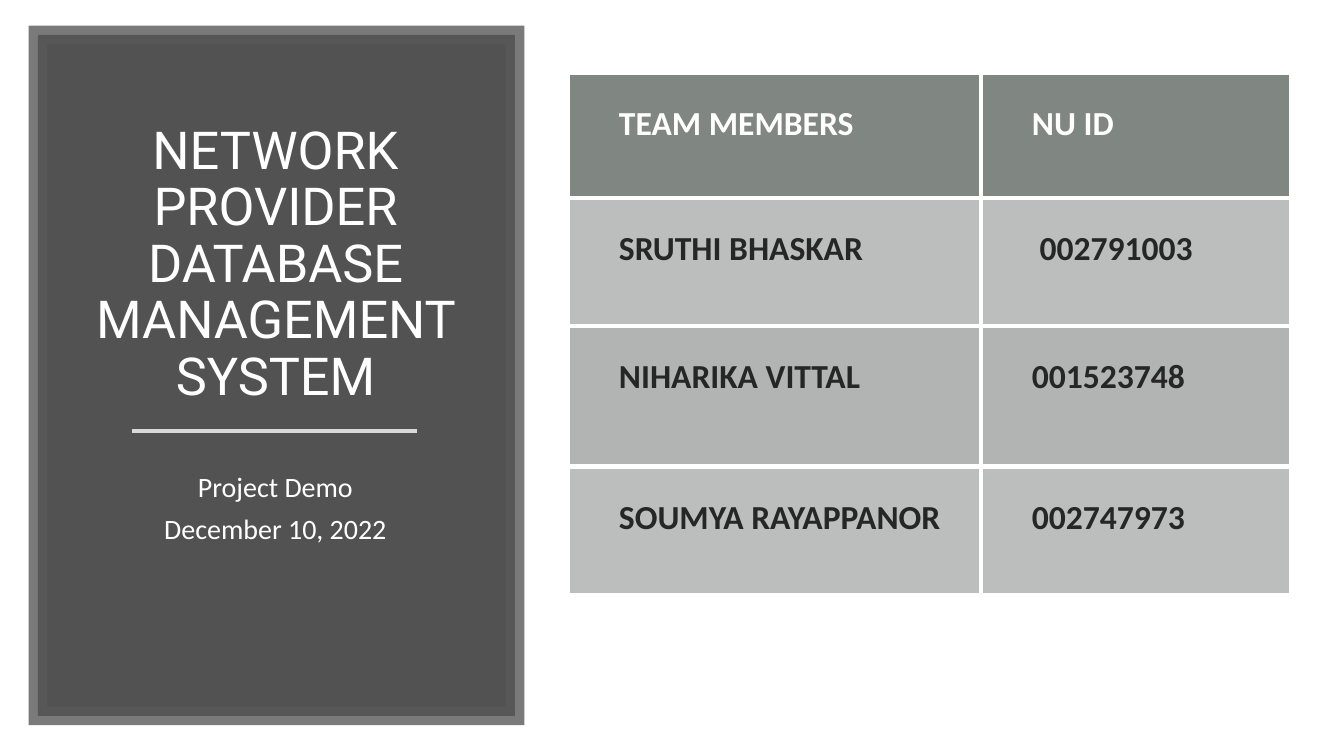
from dataclasses import dataclass

from lxml import etree
from pptx import Presentation
from pptx import util as u
from pptx.dml.color import RGBColor
from pptx.enum import shapes, text
from pptx.oxml.ns import qn

SLIDE_WIDTH, SLIDE_HEIGHT = 1344, 756
SCALE = u.Inches(10) / SLIDE_WIDTH
WHITE = "FFFFFF"


@dataclass(frozen=True)
class Box:
    left: int
    top: int
    width: int
    height: int

    def emu(self) -> tuple:
        return tuple(px(n) for n in (self.left, self.top, self.width, self.height))


@dataclass(frozen=True)
class Row:
    name: str
    nu_id: str
    height: int
    fill: str
    ink: str = "262626"


PANEL = Box(38, 35, 477, 681)
TITLE = Box(74, 101, 403, 319)
SUBTITLE = Box(74, 460, 403, 168)
TABLE_LEFT, TABLE_TOP = 568, 73
COLUMN_WIDTHS = (413, 310)
ROWS = (
    Row("TEAM MEMBERS", "NU ID", 125, "808682", WHITE),
    Row("SRUTHI BHASKAR", " 002791003", 128, "BCBEBD"),
    Row("NIHARIKA VITTAL", "001523748", 141, "B2B4B3"),
    Row("SOUMYA RAYAPPANOR", "002747973", 129, "BCBEBD"),
)


def px(length: int) -> u.Emu:
    return u.Emu(round(length * SCALE))


def color(value: str) -> RGBColor:
    return RGBColor.from_string(value)


def set_alpha(properties, percent: int) -> None:
    """Make the solid fill inside a fill or line element translucent."""
    rgb = properties.find(qn("a:solidFill")).find(qn("a:srgbClr"))
    etree.SubElement(rgb, qn("a:alpha")).set("val", str(percent * 1000))


def format_paragraph(paragraph, font: str, size: int, ink: str, bold: bool = False) -> None:
    paragraph.font.name = font
    paragraph.font.size = u.Pt(size)
    paragraph.font.bold = bold
    paragraph.font.color.rgb = color(ink)


def fill_text(shape, lines: list, font: str, size: int, anchor, space_after: int = 0) -> None:
    frame = shape.text_frame
    frame.text = "\n".join(lines)
    frame.word_wrap = True
    frame.auto_size = text.MSO_AUTO_SIZE.NONE
    frame.vertical_anchor = anchor
    frame.margin_left = frame.margin_right = u.Inches(0.1)
    frame.margin_top = frame.margin_bottom = u.Inches(0.1)
    for paragraph in frame.paragraphs:
        paragraph.alignment = text.PP_ALIGN.CENTER
        paragraph.line_spacing = 0.9
        paragraph.space_before = u.Pt(0)
        paragraph.space_after = u.Pt(space_after)
        format_paragraph(paragraph, font, size, WHITE)


def add_panel(slide) -> None:
    panel = slide.shapes.add_shape(shapes.MSO_SHAPE.RECTANGLE, *PANEL.emu())
    panel.shadow.inherit = False
    panel.fill.solid()
    panel.fill.fore_color.rgb = color("404040")
    panel.line.color.rgb = color("595959")
    panel.line.width = u.Pt(10)
    properties = panel._element.spPr
    outline = properties.find(qn("a:ln"))
    set_alpha(properties, 90)
    set_alpha(outline, 80)
    etree.SubElement(outline, qn("a:miter")).set("lim", "800000")
    # The panel lies behind the title
    slide.shapes.title._element.addprevious(panel._element)


def add_divider(slide) -> None:
    divider = slide.shapes.add_connector(
        shapes.MSO_CONNECTOR.STRAIGHT, px(132), px(431), px(417), px(431))
    divider.line.color.rgb = color("D9D9D9")
    divider.line.width = u.Pt(1.75)
    etree.SubElement(divider._element.spPr, qn("a:effectLst"))


def set_borders(cell) -> None:
    """Draw white rules on every side of a cell, ahead of its fill."""
    properties = cell._tc.get_or_add_tcPr()
    for index, side in enumerate(("lnL", "lnR", "lnT", "lnB")):
        border = etree.Element(qn(f"a:{side}"), w=str(u.Pt(3)))
        fill = etree.SubElement(border, qn("a:solidFill"))
        etree.SubElement(fill, qn("a:srgbClr")).set("val", WHITE)
        properties.insert(index, border)


def format_cell(cell, words: str, row: Row) -> None:
    cell.text = words
    cell.margin_left = px(51)
    cell.margin_right = cell.margin_top = cell.margin_bottom = px(31)
    cell.fill.solid()
    cell.fill.fore_color.rgb = color(row.fill)
    format_paragraph(cell.text_frame.paragraphs[0], "Calibri", 18, row.ink, bold=True)
    set_borders(cell)


def add_team_table(slide) -> None:
    box = Box(TABLE_LEFT, TABLE_TOP, sum(COLUMN_WIDTHS), sum(row.height for row in ROWS))
    table = slide.shapes.add_table(len(ROWS), len(COLUMN_WIDTHS), *box.emu()).table
    table.horz_banding = False
    for column, width in zip(table.columns, COLUMN_WIDTHS):
        column.width = px(width)
    for index, row in enumerate(ROWS):
        table.rows[index].height = px(row.height)
        for column, words in enumerate((row.name, row.nu_id)):
            format_cell(table.cell(index, column), words, row)


def main() -> None:
    presentation = Presentation()
    presentation.slide_width, presentation.slide_height = px(SLIDE_WIDTH), px(SLIDE_HEIGHT)
    slide = presentation.slides.add_slide(presentation.slide_layouts[5])

    # Left side: panel, title, divider and subtitle
    add_panel(slide)
    title = slide.shapes.title
    title.left, title.top, title.width, title.height = TITLE.emu()
    fill_text(title, ["NETWORK PROVIDER DATABASE MANAGEMENT SYSTEM"],
              "Roboto", 28, text.MSO_ANCHOR.BOTTOM)
    subtitle = slide.shapes.add_textbox(*SUBTITLE.emu())
    fill_text(subtitle, ["Project Demo", "December 10, 2022"],
              "Calibri", 15, text.MSO_ANCHOR.TOP, space_after=6)
    add_divider(slide)

    # Right side: team members
    add_team_table(slide)
    presentation.save("out.pptx")


if __name__ == "__main__":
    main()
